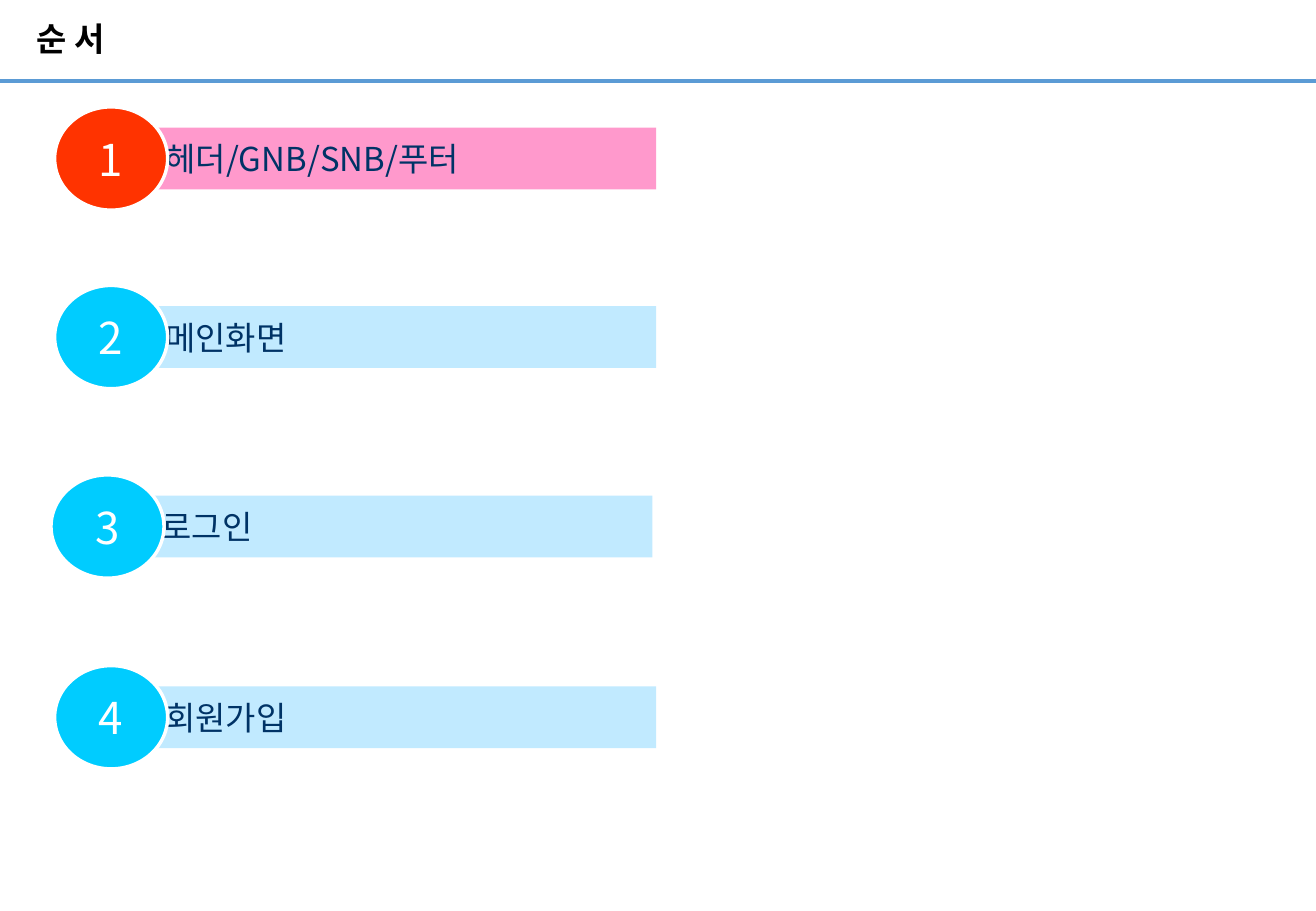
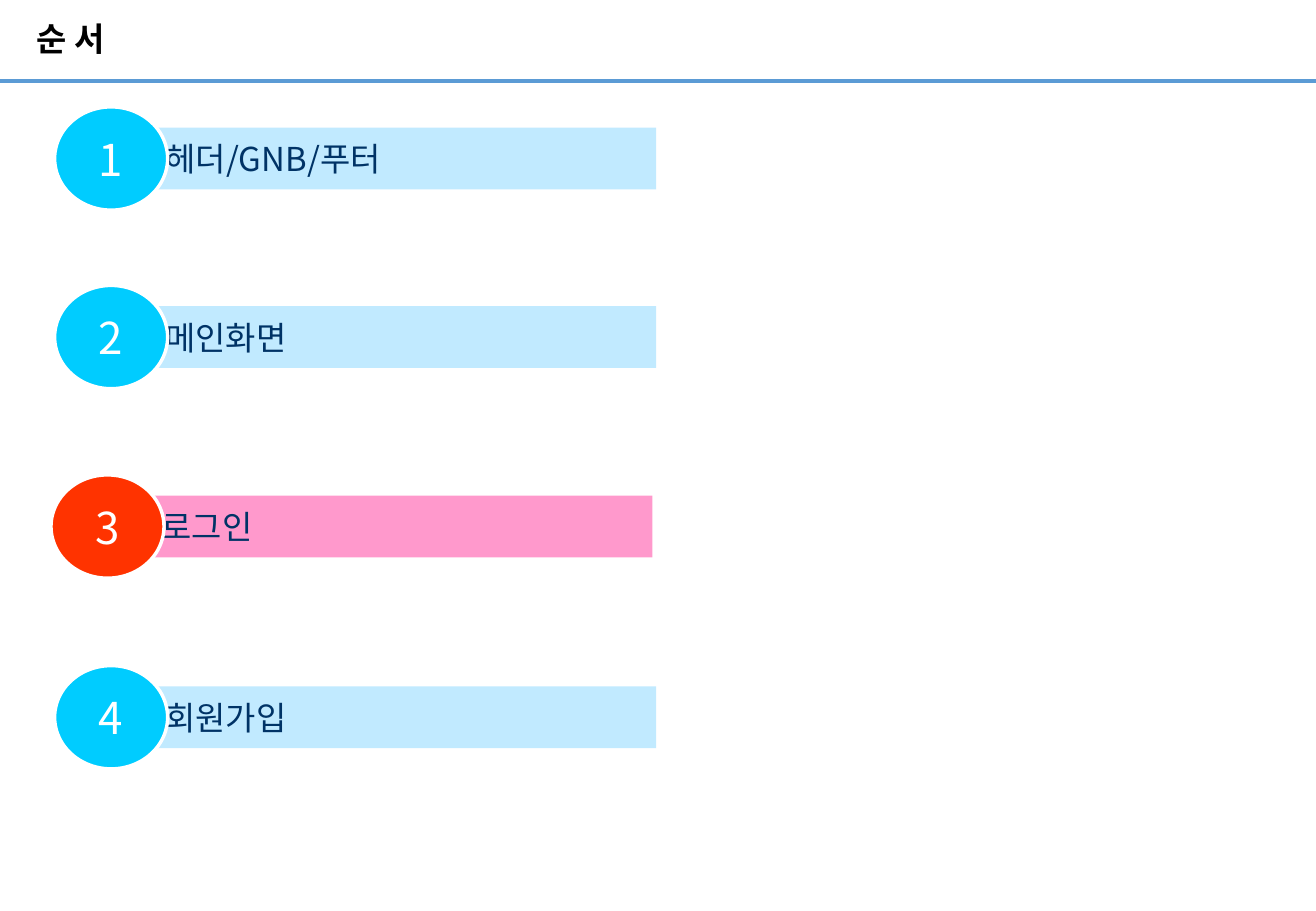
from dataclasses import dataclass

from lxml.etree import SubElement
from pptx import Presentation
from pptx.dml.color import RGBColor
from pptx.enum.shapes import MSO_CONNECTOR, MSO_SHAPE
from pptx.enum.text import MSO_ANCHOR, PP_ALIGN
from pptx.oxml.ns import qn
from pptx.util import Emu, Pt

EMU_PER_PX = 9144  # 100 px to the inch
SLIDE_WIDTH, SLIDE_HEIGHT = 1083, 750


@dataclass(frozen=True)
class Theme:
    rule: str = "5B9BD5"
    title: str = "000000"
    label: str = "003366"
    white: str = "FFFFFF"
    bar: str = "C1EAFF"
    circle: str = "00CCFF"
    active_bar: str = "FF99CC"
    active_circle: str = "FF3300"
    title_font: str = "Arial"
    body_font: str = "Noto Sans CJK KR"
    text_size: float = 19.5
    number_size: float = 26


@dataclass(frozen=True)
class Row:
    left: int
    top: int


@dataclass(frozen=True)
class Agenda:
    labels: tuple[str, ...]
    active: int


THEME = Theme()
TITLE = "순 서"
ROWS = (Row(82, 105), Row(82, 252), Row(79, 408), Row(82, 565))
AGENDAS = (
    Agenda(("헤더/GNB/SNB/푸터", "메인화면", "로그인", "회원가입"), active=1),
    Agenda(("헤더/GNB/푸터", "메인화면", "로그인", "회원가입"), active=3),
)
BAR_WIDTH, BAR_HEIGHT = 458, 51
CIRCLE_WIDTH, CIRCLE_HEIGHT = 93, 85
LABEL_INSET = 54


def px(length: int) -> Emu:
    return Emu(length * EMU_PER_PX)


def color(value: str) -> RGBColor:
    return RGBColor.from_string(value)


def write_text(shape, text: str, *, size: float, fill: str, font: str = THEME.body_font,
               bold: bool = False, align=PP_ALIGN.LEFT, inset: int = 0,
               line_spacing: float = 1.0) -> None:
    frame = shape.text_frame
    frame.word_wrap = True
    frame.vertical_anchor = MSO_ANCHOR.MIDDLE
    frame.margin_left = px(inset)
    frame.margin_right = frame.margin_top = frame.margin_bottom = 0
    paragraph = frame.paragraphs[0]
    paragraph.alignment = align
    paragraph.line_spacing = line_spacing
    run = paragraph.add_run()
    run.text = text
    run.font.size = Pt(size)
    run.font.bold = bold
    run.font.color.rgb = color(fill)
    run.font.name = font
    # Korean glyphs use the East Asian font slot
    SubElement(run.font._element, qn("a:ea"), typeface=THEME.body_font)


def add_block(slide, kind, left: int, top: int, width: int, height: int, fill: str):
    shape = slide.shapes.add_shape(kind, px(left), px(top), px(width), px(height))
    shape.shadow.inherit = False
    shape.fill.solid()
    shape.fill.fore_color.rgb = color(fill)
    shape.line.fill.background()
    return shape


def add_row(slide, row: Row, number: int, label: str, active: bool) -> None:
    bar = add_block(slide, MSO_SHAPE.RECTANGLE, row.left, row.top, BAR_WIDTH, BAR_HEIGHT,
                    THEME.active_bar if active else THEME.bar)
    write_text(bar, label, size=THEME.text_size, fill=THEME.label, inset=LABEL_INSET)

    circle = add_block(slide, MSO_SHAPE.OVAL, row.left - 37,
                       row.top - (CIRCLE_HEIGHT - BAR_HEIGHT) // 2,
                       CIRCLE_WIDTH, CIRCLE_HEIGHT,
                       THEME.active_circle if active else THEME.circle)
    circle.line.color.rgb = color(THEME.white)
    circle.line.width = Pt(2)
    write_text(circle, str(number), size=THEME.number_size, fill=THEME.white,
               align=PP_ALIGN.CENTER)


def add_rule(slide) -> None:
    rule = slide.shapes.add_connector(MSO_CONNECTOR.STRAIGHT, 0, px(67),
                                      px(SLIDE_WIDTH), px(67))
    rule.line.color.rgb = color(THEME.rule)
    rule.line.width = Pt(2.25)
    SubElement(rule.element.spPr, qn("a:effectLst"))


def add_agenda(presentation, agenda: Agenda) -> None:
    slide = presentation.slides.add_slide(presentation.slide_layouts[5])
    add_rule(slide)
    title = slide.shapes.title
    title.left, title.top, title.width, title.height = px(30), px(0), px(709), px(68)
    write_text(title, TITLE, size=THEME.text_size, fill=THEME.title,
               font=THEME.title_font, bold=True, line_spacing=0.9)
    for number, (row, label) in enumerate(zip(ROWS, agenda.labels), start=1):
        add_row(slide, row, number, label, number == agenda.active)


def main() -> None:
    presentation = Presentation()
    presentation.slide_width, presentation.slide_height = px(SLIDE_WIDTH), px(SLIDE_HEIGHT)
    for agenda in AGENDAS:
        add_agenda(presentation, agenda)
    presentation.save("out.pptx")


if __name__ == "__main__":
    main()
